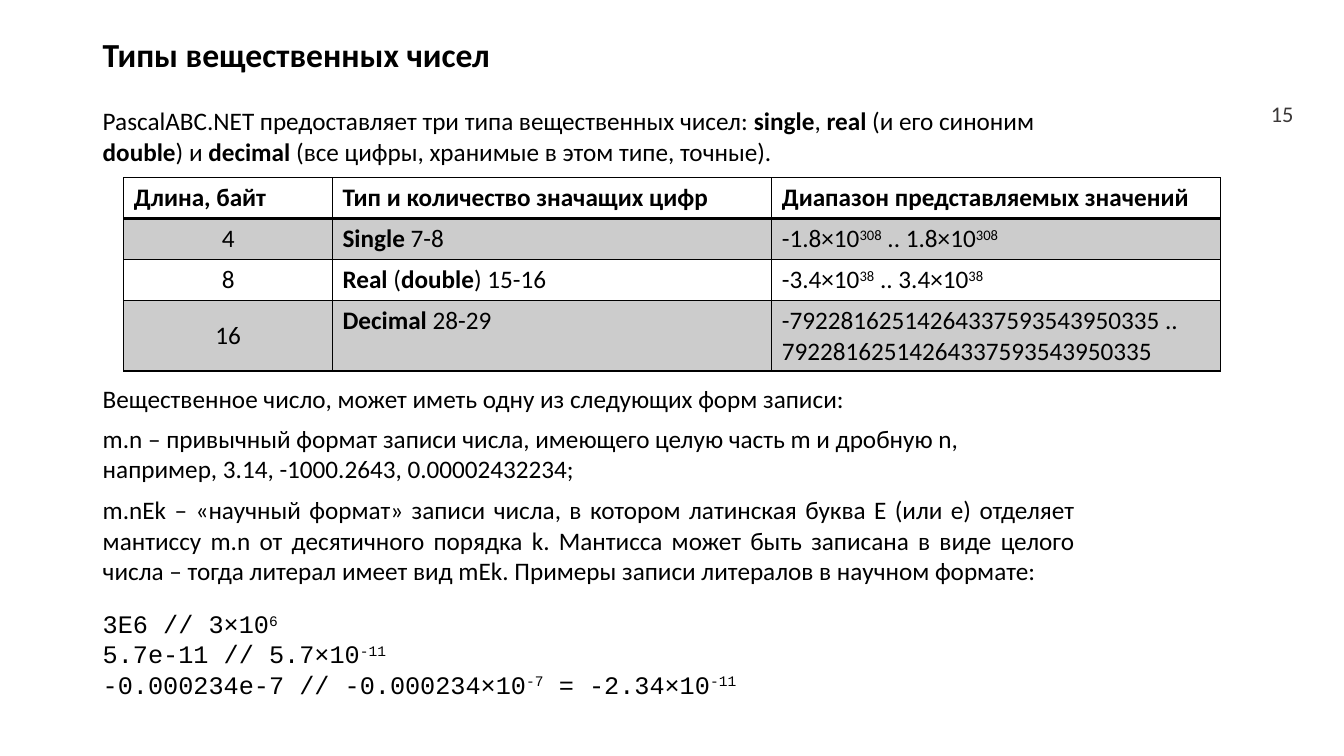
from lxml import etree
from pptx import Presentation
from pptx.dml.color import RGBColor
from pptx.enum.text import MSO_ANCHOR, PP_ALIGN
from pptx.oxml import parse_xml
from pptx.oxml.ns import nsdecls, qn
from pptx.util import Cm, Pt

BLACK = RGBColor(0x00, 0x00, 0x00)
GRAY = RGBColor(0x3B, 0x38, 0x38)
LEFT, CENTER, RIGHT, JUSTIFY = PP_ALIGN.LEFT, PP_ALIGN.CENTER, PP_ALIGN.RIGHT, PP_ALIGN.JUSTIFY
TOP, MIDDLE = MSO_ANCHOR.TOP, MSO_ANCHOR.MIDDLE
BODY_FONT, CODE_FONT = "Calibri", "Courier New"


def write(frame, lines, size=18, color=BLACK, font=BODY_FONT, align=LEFT):
    """Fill a text frame; *...* marks bold and ^...^ marks superscript."""
    for i, line in enumerate(lines):
        paragraph = frame.paragraphs[0] if i == 0 else frame.add_paragraph()
        paragraph.alignment = align
        paragraph.font.size = Pt(size)
        paragraph.font.name = font
        paragraph.font.color.rgb = color
        for j, weighted in enumerate(line.split("*")):
            for k, text in enumerate(weighted.split("^")):
                if not text:
                    continue
                run = paragraph.add_run()
                run.text = text
                if j % 2:
                    run.font.bold = True
                if k % 2:
                    run.font._element.set("baseline", "30000")


def add_text(left, top, width, height, lines, anchor=TOP, **style):
    frame = slide.shapes.add_textbox(Cm(left), Cm(top), Cm(width), Cm(height)).text_frame
    frame.word_wrap = True
    frame.vertical_anchor = anchor
    write(frame, lines, **style)
    return frame


prs = Presentation()
prs.slide_width, prs.slide_height = Cm(33.87), Cm(19.05)
slide = prs.slides.add_slide(prs.slide_layouts[6])

add_text(31.55, 2.34, 1.3, 1.02, ["15"], MIDDLE, size=16, color=GRAY, align=RIGHT)
title = add_text(2.34, 0.33, 27.38, 2.21, ["*Типы вещественных чисел*"], MIDDLE, size=24)
title.paragraphs[0].line_spacing = 0.9

# Explanations and code, top to bottom
passages = [
    (2.54, 1.8, LEFT, BODY_FONT, [
        "PascalABC.NET предоставляет три типа вещественных чисел: *single*, *real *(и его синоним "
        "*double*) и *decimal *(все цифры, хранимые в этом типе, точные)."]),
    (9.53, 1.02, LEFT, BODY_FONT, [
        "Вещественное число, может иметь одну из следующих форм записи:"]),
    (10.54, 1.8, JUSTIFY, BODY_FONT, [
        "m.n – привычный формат записи числа, имеющего целую часть m и дробную n,",
        "например, 3.14, -1000.2643, 0.00002432234;"]),
    (12.34, 2.57, JUSTIFY, BODY_FONT, [
        "m.nEk – «научный формат» записи числа, в котором латинская буква E (или e) отделяет "
        "мантисcу m.n от десятичного порядка k. Мантисса может быть записана в виде целого "
        "числа – тогда литерал имеет вид mEk. Примеры записи литералов в научном формате:"]),
    (15.21, 2.57, LEFT, CODE_FONT, [
        "3E6 // 3×10^6^",
        "5.7e-11 // 5.7×10^-11^",
        "-0.000234e-7 // -0.000234×10^-7^ = -2.34×10^-11^"]),
]
for top, height, align, font, lines in passages:
    add_text(2.34, top, 25, height, lines, align=align, font=font)

# Table of real types
type_rows = [
    (["*Длина, байт*"], ["*Тип и количество значащих цифр*"],
     ["*Диапазон представляемых значений*"]),
    (["4"], ["*Single* 7-8"], ["-1.8×10^308^ .. 1.8×10^308^"]),
    (["8"], ["*Real* (*double*) 15-16"], ["-3.4×10^38^ .. 3.4×10^38^"]),
    (["16"], ["*Decimal* 28-29"],
     ["-79228162514264337593543950335 ..", "79228162514264337593543950335"]),
]
column_widths = [5.26, 11.07, 11.3]
row_heights = [1.03, 1.03, 1.03, 1.78]
types = slide.shapes.add_table(len(type_rows), len(column_widths), Cm(3.12), Cm(4.48),
                               Cm(sum(column_widths)), Cm(sum(row_heights))).table
types.first_row = types.horz_banding = False
for column, width in zip(types.columns, column_widths):
    column.width = Cm(width)
for row, height in zip(types.rows, row_heights):
    row.height = Cm(height)

for r, row in enumerate(type_rows):
    for c, lines in enumerate(row):
        cell = types.cell(r, c)
        is_length = r > 0 and c == 0
        write(cell.text_frame, lines, align=CENTER if is_length else LEFT)
        cell.vertical_anchor = MIDDLE if is_length else TOP
        properties = cell._tc.get_or_add_tcPr()
        if r % 2:
            cell.fill.solid()
            cell.fill.fore_color.rgb = BLACK
            tint = properties.find(".//" + qn("a:srgbClr"))
            etree.SubElement(tint, qn("a:alpha")).set("val", "20000")
        else:
            cell.fill.background()
        for position, side in enumerate("LRTB"):
            heavy = (r, side) in ((0, "B"), (1, "T"))
            properties.insert(position, parse_xml(
                f'<a:ln{side} {nsdecls("a")} w="{Pt(2 if heavy else 1)}">'
                f'<a:solidFill><a:srgbClr val="{BLACK}"/></a:solidFill></a:ln{side}>'))

prs.save("out.pptx")
